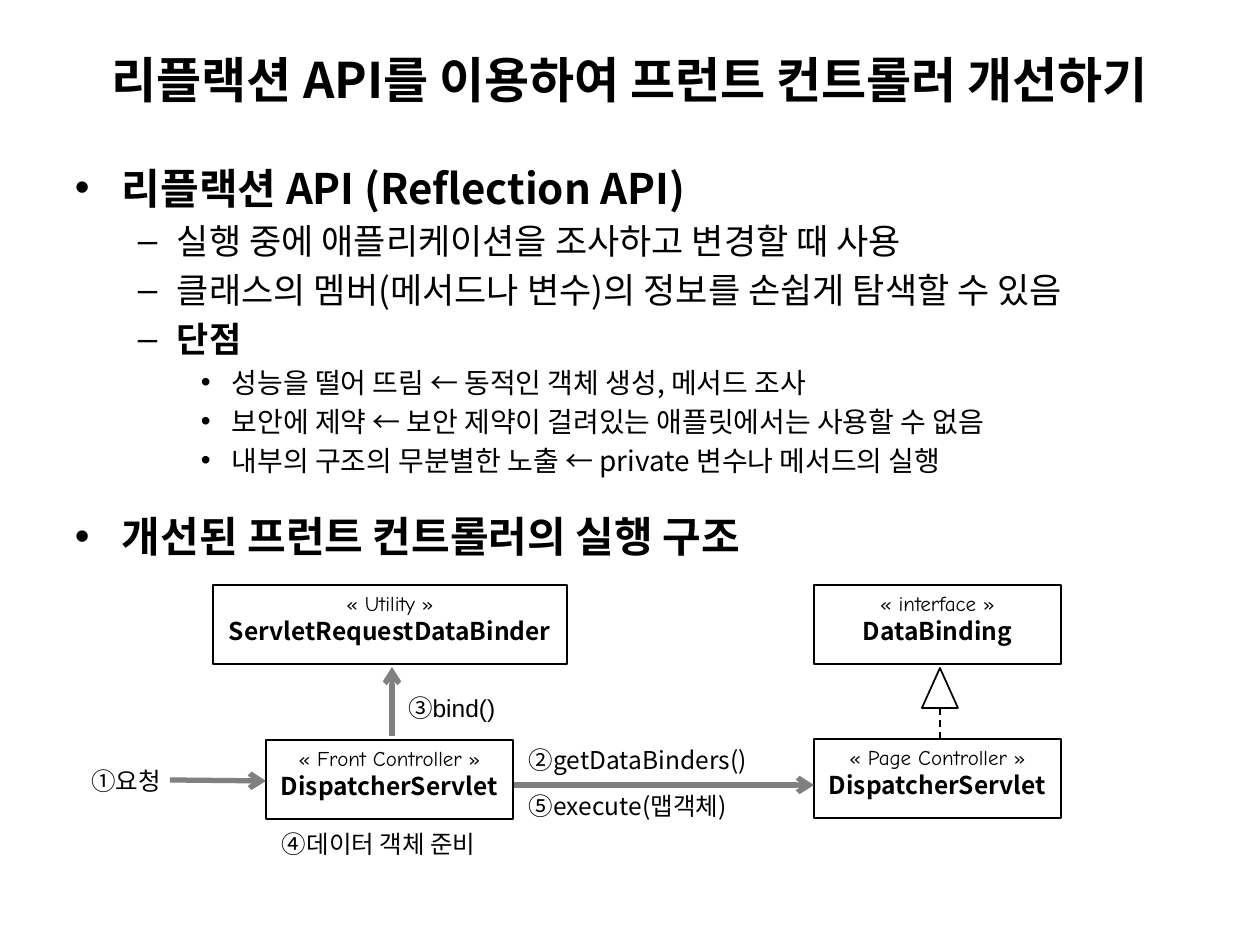
from lxml import etree
from pptx import Presentation
from pptx import util as u
from pptx.dml.color import RGBColor
from pptx.enum import dml, shapes, text
from pptx.oxml.ns import qn

SCALE = 914400 // 126
COLORS = {"ink": "000000", "flow": "808080"}
SANS, LATIN, COMIC = "Noto Sans CJK KR", "Arial", "Comic Neue"
LEVELS = [("•", 47, 47, 24), ("–", 102, 39, 20), ("•", 157, 31, 16)]
ALIGN = {"l": text.PP_ALIGN.LEFT, "c": text.PP_ALIGN.CENTER, "r": text.PP_ALIGN.RIGHT}


def px(value):
    return u.Emu(value * SCALE)


class Diagram:
    def __init__(self, slide):
        self.slide = slide

    def stroke(self, line, color="ink", width=1):
        line.color.rgb = RGBColor.from_string(COLORS[color])
        line.width = u.Pt(width)

    def outline(self, kind, x, y, w, h, parent=None):
        shape = (parent or self.slide).shapes.add_shape(kind, px(x), px(y), px(w), px(h))
        shape.shadow.inherit = False
        shape.fill.background()
        self.stroke(shape.line)

    def frame(self, x, y, w, h, inset=(13, 6), parent=None):
        box = (parent or self.slide).shapes.add_textbox(px(x), px(y), px(w), px(h))
        frame = box.text_frame
        frame.word_wrap = True
        frame.margin_left = frame.margin_right = px(inset[0])
        frame.margin_top = frame.margin_bottom = px(inset[1])
        return frame

    def paragraph(self, frame, runs, align="l", first=False):
        para = frame.paragraphs[0] if first else frame.add_paragraph()
        para.alignment = ALIGN[align]
        for words, size, font, bold in runs:
            run = para.add_run()
            run.text = words
            run.font.size = u.Pt(size)
            run.font.bold = bold
            run.font.name = font
            run.font.color.rgb = RGBColor.from_string(COLORS["ink"])
            east_asian = etree.SubElement(run.font._element, qn("a:ea"))
            east_asian.set("typeface", SANS if font == LATIN else font)
        return para

    def title(self, words, x, y, w, h):
        frame = self.frame(x, y, w, h)
        frame.vertical_anchor = text.MSO_ANCHOR.MIDDLE
        self.paragraph(frame, [(words, 28, SANS, True)], "c", True)

    def bullets(self, items, x, y, w, h):
        frame = self.frame(x, y, w, h)
        for index, (level, words, bold) in enumerate(items):
            mark, left, hang, size = LEVELS[level]
            para = self.paragraph(frame, [(words, size, SANS, bold)], first=index == 0)
            para.level = level
            para.space_before = u.Pt(size * 0.2)
            props = para._p.get_or_add_pPr()
            props.set("marL", str(px(left)))
            props.set("indent", str(-px(hang)))
            etree.SubElement(props, qn("a:buFont")).set("typeface", LATIN)
            etree.SubElement(props, qn("a:buChar")).set("char", mark)

    def class_box(self, stereotype, name, x, y, w):
        group = self.slide.shapes.add_group_shape()
        self.outline(shapes.MSO_SHAPE.RECTANGLE, x, y, w, 79, group)
        frame = self.frame(x, y, w, 68, parent=group)
        self.paragraph(frame, [(f"« {stereotype} »", 12, COMIC, False)], "c", True)
        self.paragraph(frame, [(name, 14, SANS, True)], "c")

    def step(self, runs, x, y, w, align="l"):
        frame = self.frame(x, y, w, 43, (10, 6))
        styled = [(words, 14, font, False) for words, font in runs]
        para = self.paragraph(frame, styled, align, True)
        para._p.get_or_add_pPr().set("marL", str(px(5)))

    def connector(self, x1, y1, x2, y2, color="flow", width=3, dashed=False):
        link = self.slide.shapes.add_connector(
            shapes.MSO_CONNECTOR.STRAIGHT, px(x1), px(y1), px(x2), px(y2))
        self.stroke(link.line, color, width)
        if dashed:
            link.line.dash_style = dml.MSO_LINE.DASH
        else:
            etree.SubElement(link.line._get_or_add_ln(), qn("a:tailEnd")).set("type", "arrow")
        etree.SubElement(link._element.spPr, qn("a:effectLst"))


deck = Presentation()
deck.slide_width, deck.slide_height = px(1260), px(945)
diagram = Diagram(deck.slides.add_slide(deck.slide_layouts[6]))

diagram.title("리플랙션 API를 이용하여 프런트 컨트롤러 개선하기", 0, 0, 1260, 158)
diagram.bullets([
    (0, "리플랙션 API (Reflection API)", True),
    (1, "실행 중에 애플리케이션을 조사하고 변경할 때 사용", False),
    (1, "클래스의 멤버(메서드나 변수)의 정보를 손쉽게 탐색할 수 있음", False),
    (1, "단점", True),
    (2, "성능을 떨어 뜨림 ← 동적인 객체 생성, 메서드 조사", False),
    (2, "보안에 제약 ← 보안 제약이 걸려있는 애플릿에서는 사용할 수 없음", False),
    (2, "내부의 구조의 무분별한 노출 ← private 변수나 메서드의 실행", False),
], 62, 156, 1134, 357)
diagram.bullets([(0, "개선된 프런트 컨트롤러의 실행 구조", True)], 62, 505, 1134, 77)

for stereotype, name, x, y, w in [
    ("Front Controller", "DispatcherServlet", 266, 740, 247),
    ("Page Controller", "DispatcherServlet", 814, 739, 247),
    ("interface", "DataBinding", 814, 585, 247),
    ("Utility", "ServletRequestDataBinder", 213, 585, 354),
]:
    diagram.class_box(stereotype, name, x, y, w)

diagram.outline(shapes.MSO_SHAPE.ISOSCELES_TRIANGLE, 922, 668, 36, 40)
diagram.connector(940, 708, 940, 740, "ink", 1, dashed=True)
for ends in [(170, 780, 266, 781), (514, 785, 814, 785), (392, 736, 392, 667)]:
    diagram.connector(*ends)

for runs, x, y, w, align in [
    ([("①", SANS), ("요청", LATIN)], 26, 760, 145, "r"),
    ([("②getDataBinders()", SANS)], 514, 739, 280, "l"),
    ([("③", SANS), ("bind()", LATIN)], 393, 687, 145, "l"),
    ([("④데이터 객체 준비", SANS)], 267, 823, 280, "l"),
    ([("⑤execute(맵객체)", SANS)], 514, 785, 280, "l"),
]:
    diagram.step(runs, x, y, w, align)

deck.save("out.pptx")
